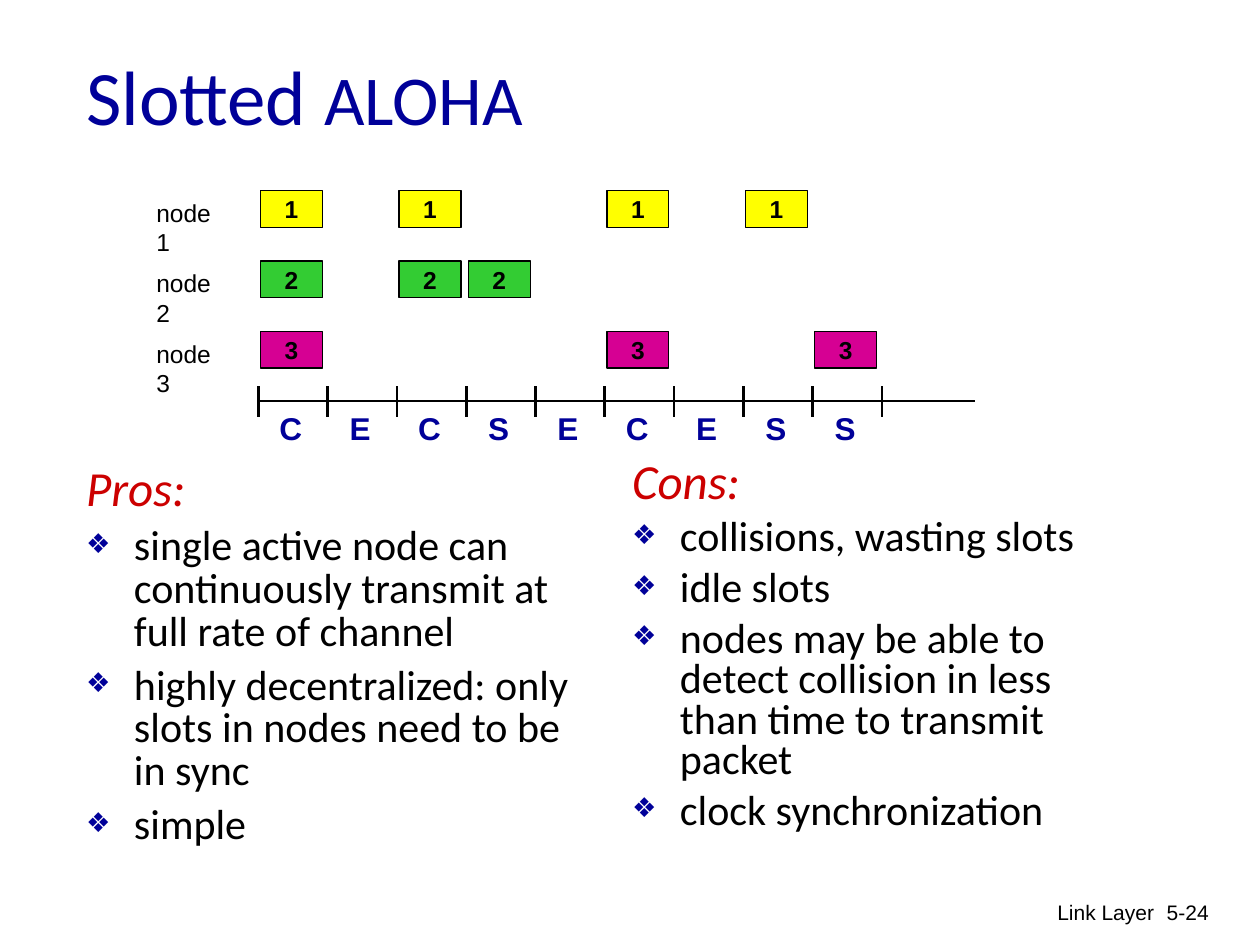
from lxml import etree
from pptx import Presentation
from pptx.dml.color import RGBColor
from pptx.enum.shapes import MSO_CONNECTOR, MSO_SHAPE
from pptx.enum.text import MSO_ANCHOR, MSO_AUTO_SIZE, PP_ALIGN
from pptx.oxml.ns import qn
from pptx.util import Inches, Pt

LEFT, MID, RIGHT = PP_ALIGN.LEFT, PP_ALIGN.CENTER, PP_ALIGN.RIGHT
TOP, CENTER = MSO_ANCHOR.TOP, MSO_ANCHOR.MIDDLE
FIXED = MSO_AUTO_SIZE.NONE
RECT, LINE = MSO_SHAPE.RECTANGLE, MSO_CONNECTOR.STRAIGHT

BLACK = RGBColor(0x00, 0x00, 0x00)
NAVY = RGBColor(0x00, 0x00, 0x99)
RED = RGBColor(0xCC, 0x00, 0x00)
YELLOW = RGBColor(0xFF, 0xFF, 0x00)
GREEN = RGBColor(0x33, 0xCC, 0x33)
PINK = RGBColor(0xD6, 0x00, 0x93)

COLS = 120  # the slide is a grid of 120 by 90 square cells

# Timeline, in grid cells
START, SLOT = 24.6, 6.6
FIRST, STEP = 18.15, 6.7
AXIS = 38.2

NODES = [  # fill and slots used by each node
    (YELLOW, (0, 2, 5, 7)),
    (GREEN, (0, 2, 3)),
    (PINK, (0, 5, 8)),
]
STATES = "CECSECESS"

PROS = [
    "single active node can continuously transmit at full rate of channel",
    "highly decentralized: only slots in nodes need to be in sync",
    "simple",
]
CONS = [
    "collisions, wasting slots",
    "idle slots",
    "nodes may be able to detect collision in less than time to transmit packet",
    "clock synchronization",
]


def write(para, words, size=14, color=BLACK, face="Arial", bold=False,
          slant=False, align=LEFT):
    para.alignment = align
    run = para.add_run()
    run.text = words
    font = run.font
    font.name, font.size = face, Pt(size)
    font.bold, font.italic = bold, slant
    font.color.rgb = color


def mark(para, sign=None):
    """Give the paragraph a hanging bullet, or none."""
    props = para._p.get_or_add_pPr()
    hang = Inches(0.38) if sign else 0
    props.set("marL", str(hang))
    props.set("indent", str(-hang))
    if not sign:
        etree.SubElement(props, qn("a:buNone"))
        return
    tint = etree.SubElement(props, qn("a:buClr"))
    etree.SubElement(tint, qn("a:srgbClr"), val=str(NAVY))
    etree.SubElement(props, qn("a:buSzPct"), val="65000")
    etree.SubElement(props, qn("a:buChar"), char=sign)


class Deck:
    """Holds the grid, the style and the current slide."""

    text_face = "Calibri"

    def __init__(self):
        self.show = Presentation()
        self.show.slide_width = Inches(10)
        self.show.slide_height = Inches(7.5)
        self.cell = self.show.slide_width / COLS
        self.slide = self.show.slides.add_slide(self.show.slide_layouts[3])
        self.shapes = self.slide.shapes

    def span(self, *cells):
        return [round(n * self.cell) for n in cells]

    def place(self, index, area, anchor):
        holder = self.slide.placeholders[index]
        holder.left, holder.top, holder.width, holder.height = self.span(*area)
        frame = holder.text_frame
        frame.auto_size = FIXED
        frame.vertical_anchor = anchor
        return frame

    def title(self, area, parts):
        para = self.place(0, area, CENTER).paragraphs[0]
        for words, size in parts:
            write(para, words, size=size, color=NAVY, face=self.text_face)

    def points(self, index, area, head, items, pitch):
        frame = self.place(index, area, TOP)
        for row, words in enumerate([head] + items):
            para = frame.add_paragraph() if row else frame.paragraphs[0]
            mark(para, "❖" if row else None)
            para.line_spacing = pitch
            para.space_before = Pt(6 if row else 0)
            write(para, words, size=24 if row else 28, face=self.text_face,
                  color=BLACK if row else RED, slant=not row)

    def label(self, area, words, wrap=False, **style):
        frame = self.shapes.add_textbox(*self.span(*area)).text_frame
        frame.word_wrap = wrap
        write(frame.paragraphs[0], words, **style)

    def box(self, area, words, fill):
        shape = self.shapes.add_shape(RECT, *self.span(*area))
        shape.shadow.inherit = False
        shape.fill.solid()
        shape.fill.fore_color.rgb = fill
        shape.line.color.rgb = BLACK
        shape.line.width = Pt(0.75)
        frame = shape.text_frame
        frame.word_wrap = False
        frame.vertical_anchor = CENTER
        write(frame.paragraphs[0], words, bold=True, align=MID)

    def line(self, ends, width):
        rule = self.shapes.add_connector(LINE, *self.span(*ends))
        rule.line.color.rgb = BLACK
        rule.line.width = Pt(width)
        etree.SubElement(rule._element.spPr, qn("a:effectLst"))


def main():
    deck = Deck()
    deck.title((7, 1.5, 65, 15), [("Slotted ", 44), ("ALOHA", 40)])
    deck.points(1, (7, 43.8, 50, 42), "Pros:", PROS, 0.85)
    deck.points(2, (59, 43.4, 50, 42), "Cons:", CONS, 0.8)

    for row, (fill, used) in enumerate(NODES):
        top = FIRST + row * STEP
        name = str(row + 1)
        deck.label((13.7, top + 0.1, 9.5, 4), "node " + name)
        for slot in used:
            deck.box((START + 0.2 + slot * SLOT, top, 5.9, 3.5), name, fill)

    deck.line((START, AXIS, 92.9, AXIS), 0.75)
    for tick in range(len(STATES) + 1):
        left = START + tick * SLOT
        deck.line((left, AXIS - 1.4, left, AXIS + 1.5), 1.5)
    for slot, state in enumerate(STATES):
        deck.label((START + 0.8 + slot * SLOT, AXIS + 0.15, 4.6, 4.8), state,
                   size=18, color=NAVY, bold=True, align=MID)

    for left, width, words in [(73.1, 38, "Link Layer"), (107.4, 8.9, "5-24")]:
        deck.label((left, 85.1, width, 6), words, wrap=True, size=12,
                   align=RIGHT)
    deck.show.save("out.pptx")


if __name__ == "__main__":
    main()
